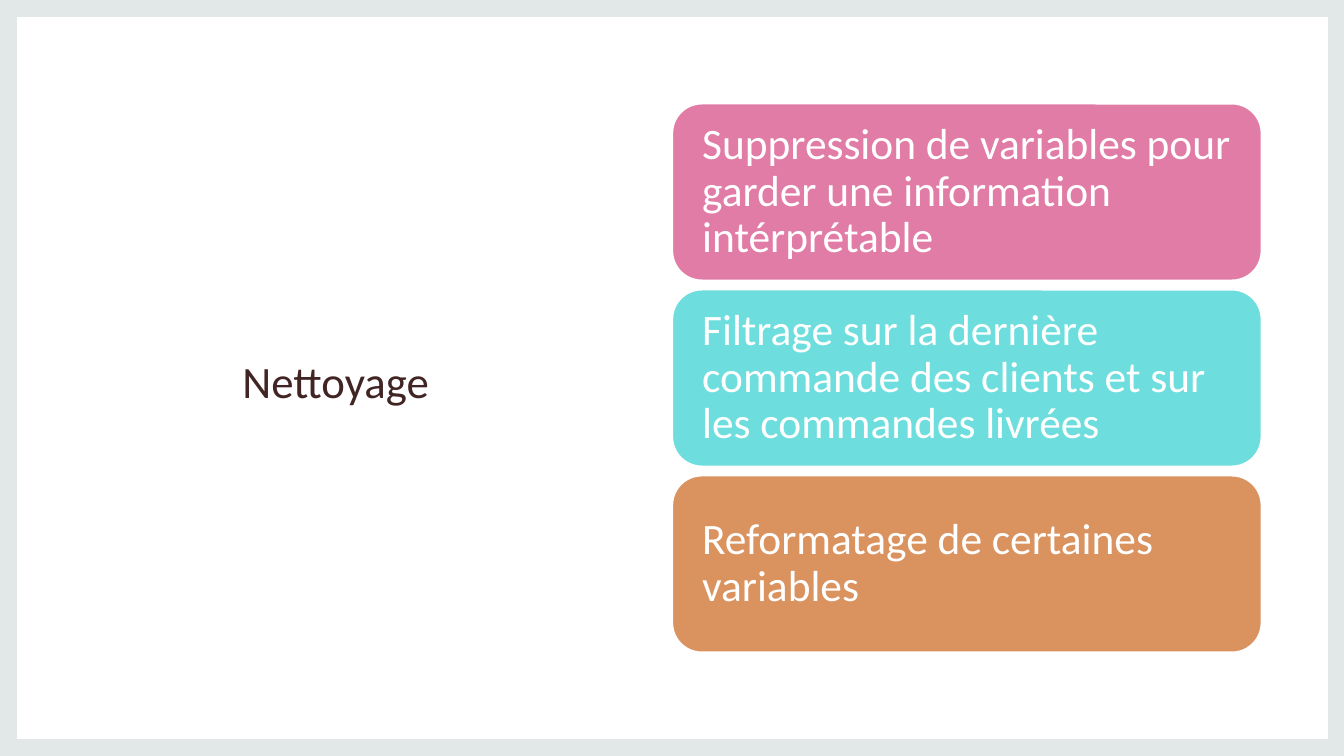
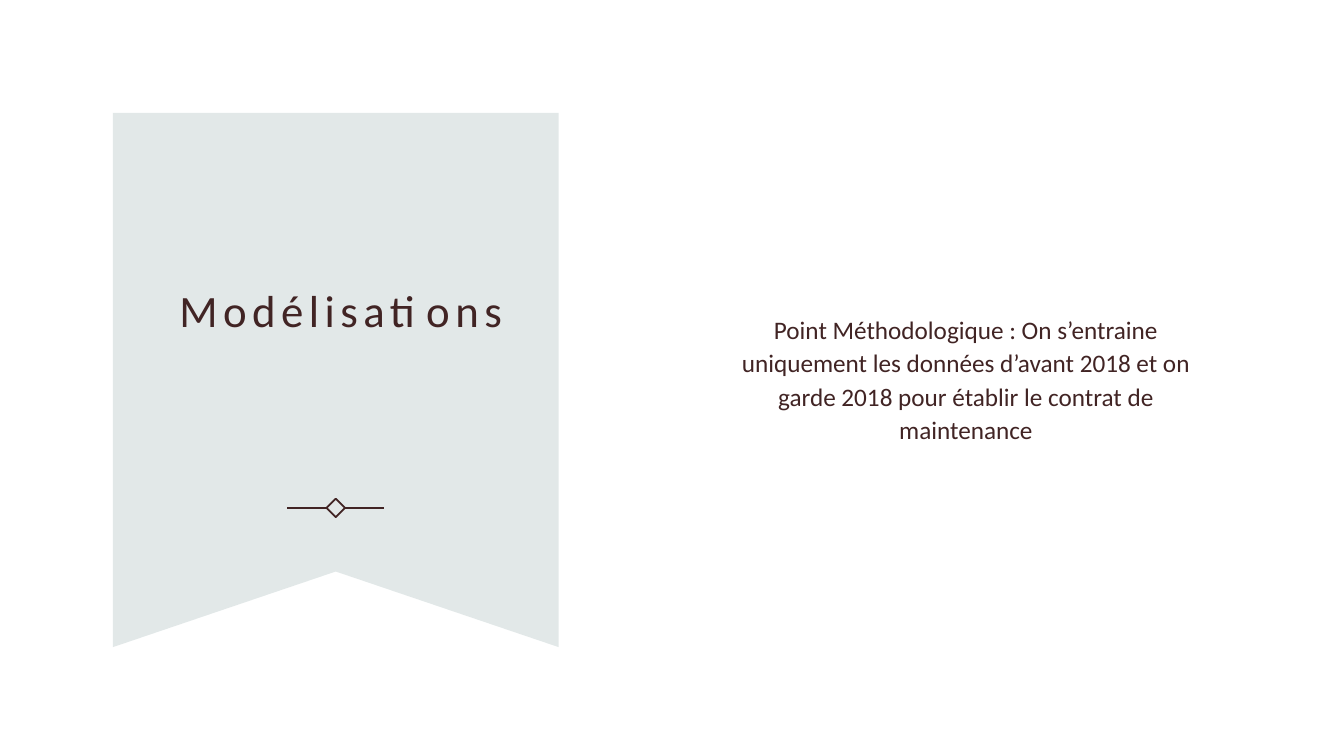
import pptx
import pptx.util
import pptx.dml.color
import pptx.enum.shapes
import pptx.enum.text
import lxml.etree
import pptx.oxml.ns

Inches, Pt = pptx.util.Inches, pptx.util.Pt
RGBColor = pptx.dml.color.RGBColor
SHAPE = pptx.enum.shapes.MSO_SHAPE
ALIGN = pptx.enum.text.PP_ALIGN

# Shared style
FONT = "Calibri"
WHITE = RGBColor(0xFF, 0xFF, 0xFF)
MIST = RGBColor(0xE2, 0xE8, 0xE8)
BROWN = RGBColor(0x41, 0x24, 0x24)
PINK = RGBColor(0xE1, 0x7C, 0xA6)
TURQUOISE = RGBColor(0x6D, 0xDE, 0xDD)
ORANGE = RGBColor(0xDA, 0x92, 0x5F)
TITLE_STYLE = {"size": 32, "align": ALIGN.CENTER, "line_spacing": 1.1}

# Content
CLEANING_TITLE = "Nettoyage"
CLEANING_STEPS = [
    ("Suppression de variables pour garder une information intérprétable", PINK),
    ("Filtrage sur la dernière commande des clients et sur les commandes livrées", TURQUOISE),
    ("Reformatage de certaines variables", ORANGE),
]
MODEL_TITLE = "Modélisations"
MODEL_NOTE = ("Point Méthodologique : On s’entraine uniquement les données d’avant 2018 "
              "et on garde 2018 pour établir le contrat de maintenance")


def add_page(deck, background):
    page = deck.slides.add_slide(deck.slide_layouts[6])
    page.background.fill.solid()
    page.background.fill.fore_color.rgb = background
    return page


def style_shape(shape, fill=None, line=None, line_width=1):
    shape.shadow.inherit = False
    if fill is None:
        shape.fill.background()
    else:
        shape.fill.solid()
        shape.fill.fore_color.rgb = fill
    if line is None:
        shape.line.fill.background()
    else:
        shape.line.color.rgb = line
        shape.line.width = Pt(line_width)
    return shape


def add_shape(page, kind, left, top, width, height, **style):
    shape = page.shapes.add_shape(
        kind, Inches(left), Inches(top), Inches(width), Inches(height))
    return style_shape(shape, **style)


def write_text(box, text, size=18, color=BROWN, align=ALIGN.LEFT, line_spacing=1.0,
               space_after=0, inset=None, tracking=None):
    frame = box.text_frame
    frame.word_wrap = True
    frame.vertical_anchor = pptx.enum.text.MSO_ANCHOR.MIDDLE
    if inset is not None:
        frame.margin_left = frame.margin_right = Inches(inset)
        frame.margin_top = frame.margin_bottom = Inches(inset)
    para = frame.paragraphs[0]
    para.alignment = align
    para.line_spacing = line_spacing
    para.space_after = Pt(space_after)
    span = para.add_run()
    span.text = text
    span.font.name = FONT
    span.font.size = Pt(size)
    span.font.color.rgb = color
    if tracking is not None:
        span.font._element.set("spc", str(round(tracking * 100)))


def add_text(page, text, left, top, width, height, **text_format):
    box = page.shapes.add_textbox(
        Inches(left), Inches(top), Inches(width), Inches(height))
    write_text(box, text, **text_format)


def add_rule(page, start, end, y):
    rule = page.shapes.add_connector(
        pptx.enum.shapes.MSO_CONNECTOR.STRAIGHT,
        Inches(start), Inches(y), Inches(end), Inches(y))
    rule.line.color.rgb = BROWN
    rule.line.width = Pt(1.25)
    lxml.etree.SubElement(
        rule._element.spPr, pptx.oxml.ns.qn("a:effectLst"))


def build_cleaning(deck):
    page = add_page(deck, MIST)
    add_shape(page, SHAPE.RECTANGLE, 0.17, 0.17, 13, 7.16, fill=WHITE)
    add_text(page, CLEANING_TITLE, 1.12, 1.12, 4.42, 5.25, **TITLE_STYLE)

    # Stacked cards
    top, height, gap = 1.03, 1.75, 0.095
    for index, (text, color) in enumerate(CLEANING_STEPS):
        card = add_shape(page, SHAPE.ROUNDED_RECTANGLE, 6.67, top + index * (height + gap),
                         5.84, height, fill=color, line=WHITE)
        write_text(card, text, size=31, color=WHITE, line_spacing=0.9, inset=0.21)


def build_models(deck):
    page = add_page(deck, WHITE)

    # Ribbon with a notched foot
    left, right, top, bottom, notch = 1.12, 5.54, 1.12, 6.42, 5.67
    center = (left + right) / 2
    outline = page.shapes.build_freeform(Inches(left), Inches(top))
    corners = [(right, top), (right, bottom), (center, notch), (left, bottom)]
    outline.add_line_segments([(Inches(x), Inches(y)) for x, y in corners])
    style_shape(outline.convert_to_shape(), fill=MIST)

    # Diamond between two rules
    ornament_y, side = 5.04, 0.13
    diamond = add_shape(page, SHAPE.RECTANGLE, center - side / 2, ornament_y - side / 2,
                        side, side, line=BROWN, line_width=1.25)
    diamond.rotation = 45
    for direction in (-1, 1):
        add_rule(page, center + direction * 0.09, center + direction * 0.48, ornament_y)

    add_text(page, MODEL_TITLE, 1.54, 1.48, 3.68, 3.14, tracking=3.9, **TITLE_STYLE)
    add_text(page, MODEL_NOTE, 6.99, 0.79, 5.18, 5.92,
             align=ALIGN.CENTER, line_spacing=1.1, space_after=6)


def main():
    deck = pptx.Presentation()
    deck.slide_width, deck.slide_height = Inches(13.33), Inches(7.5)
    build_cleaning(deck)
    build_models(deck)
    deck.save("out.pptx")


if __name__ == "__main__":
    main()
